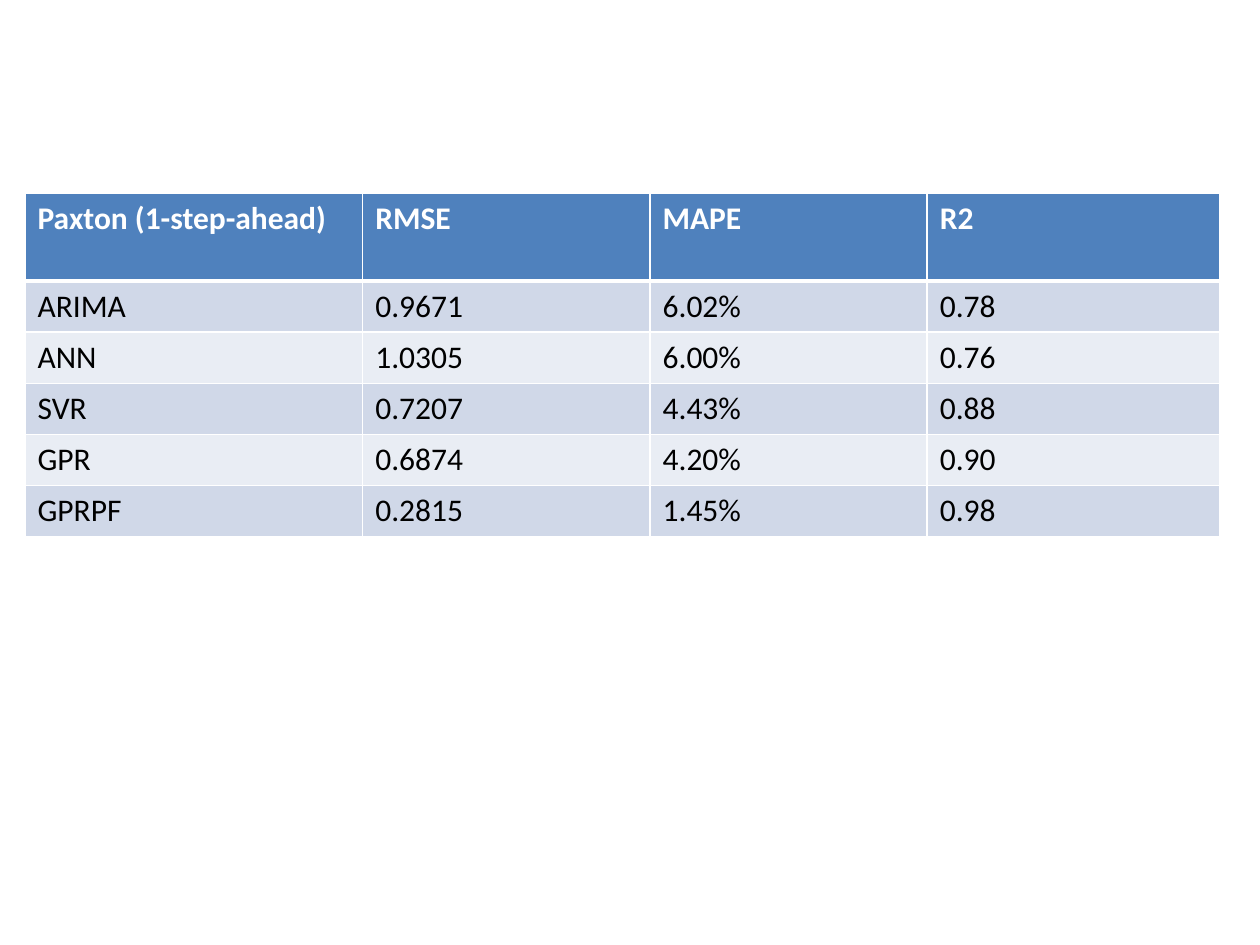
from dataclasses import dataclass

from pptx import Presentation
from pptx.dml.color import RGBColor as Color
from pptx.oxml import parse_xml
from pptx.oxml.ns import nsdecls
from pptx.table import _Cell as Cell
from pptx.util import Pt


@dataclass(frozen=True)
class Theme:
    """Colours, font and sizes of the slide."""
    header: str = "4F81BD"
    bands: tuple[str, str] = ("D0D8E8", "E9EDF4")
    rule: str = "FFFFFF"
    light: str = "FFFFFF"
    dark: str = "000000"
    font: str = "Calibri"
    size: float = 18
    thin: float = 1
    thick: float = 3


@dataclass(frozen=True)
class Score:
    """One model with its error measures."""
    model: str
    rmse: str
    mape: str
    r2: str

    def texts(self) -> tuple[str, ...]:
        """Return the row's texts from left to right."""
        return self.model, self.rmse, self.mape, self.r2


@dataclass(frozen=True)
class CellStyle:
    """Format shared by the cells of a row."""
    fill: str
    ink: str
    bold: bool
    top: float
    bottom: float


THEME = Theme()
LEFT, TOP = 14.3, 110.2
COLUMN_WIDTHS = (193, 164.2, 158.4, 167)
HEADER_HEIGHT, ROW_HEIGHT = 50.4, 29.2
SCORES = (
    Score("Paxton (1-step-ahead)", "RMSE", "MAPE", "R2"),
    Score("ARIMA", "0.9671", "6.02%", "0.78"),
    Score("ANN", "1.0305", "6.00%", "0.76"),
    Score("SVR", "0.7207", "4.43%", "0.88"),
    Score("GPR", "0.6874", "4.20%", "0.90"),
    Score("GPRPF", "0.2815", "1.45%", "0.98"),
)


def row_style(index: int) -> CellStyle:
    """Choose the style of the header or of a banded row."""
    if index == 0:
        return CellStyle(THEME.header, THEME.light, True, THEME.thin, THEME.thick)
    top = THEME.thick if index == 1 else THEME.thin
    return CellStyle(THEME.bands[(index - 1) % 2], THEME.dark, False, top, THEME.thin)


def add_borders(cell: Cell, style: CellStyle) -> None:
    """Draw the four edges of a cell."""
    edges = {"lnL": THEME.thin, "lnR": THEME.thin, "lnT": style.top, "lnB": style.bottom}
    properties = cell._tc.get_or_add_tcPr()
    for edge, width in edges.items():
        properties.append(parse_xml(
            f'<a:{edge} {nsdecls("a")} w="{Pt(width)}"><a:solidFill>'
            f'<a:srgbClr val="{THEME.rule}"/></a:solidFill></a:{edge}>'))


def fill_cell(cell: Cell, text: str, style: CellStyle) -> None:
    """Write and format one cell."""
    add_borders(cell, style)
    cell.fill.solid()
    cell.fill.fore_color.rgb = Color.from_string(style.fill)
    span = cell.text_frame.paragraphs[0].add_run()
    span.text = text
    formats = {"name": THEME.font, "size": Pt(THEME.size), "bold": style.bold}
    for name, value in formats.items():
        setattr(span.font, name, value)
    span.font.color.rgb = Color.from_string(style.ink)


def add_scores(page) -> None:
    """Add the table of model scores."""
    heights = (HEADER_HEIGHT,) + (ROW_HEIGHT,) * (len(SCORES) - 1)
    table = page.shapes.add_table(
        len(SCORES), len(COLUMN_WIDTHS), Pt(LEFT), Pt(TOP),
        Pt(sum(COLUMN_WIDTHS)), Pt(sum(heights))).table
    for column, width in zip(table.columns, COLUMN_WIDTHS):
        column.width = Pt(width)
    for index, (row, height, score) in enumerate(zip(table.rows, heights, SCORES)):
        row.height = Pt(height)
        for cell, text in zip(row.cells, score.texts()):
            fill_cell(cell, text, row_style(index))


def main() -> None:
    """Build and save the deck."""
    deck = Presentation()
    deck.slide_width, deck.slide_height = Pt(720), Pt(540)
    page = deck.slides.add_slide(deck.slide_layouts[6])
    add_scores(page)
    deck.save("out.pptx")


main()
